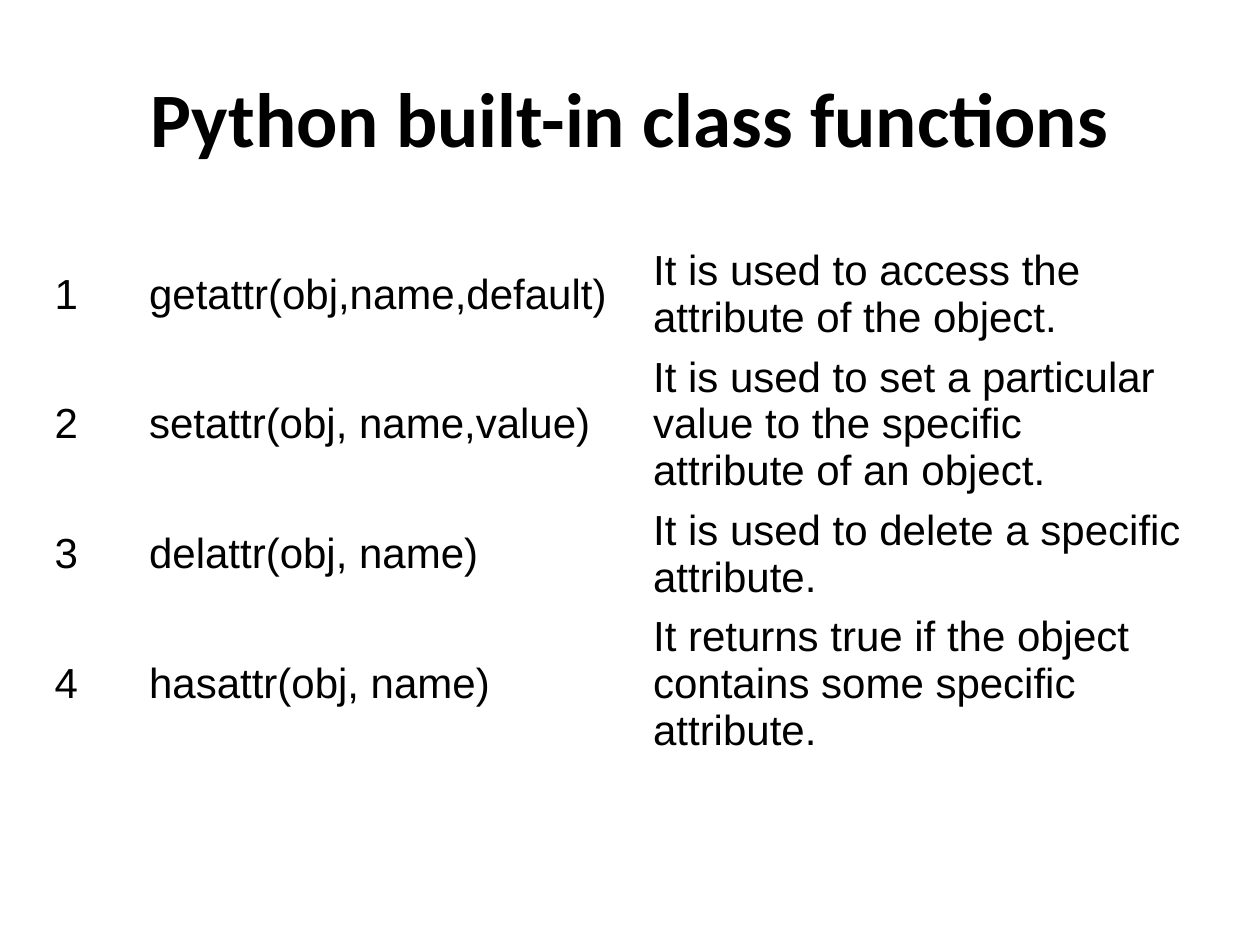
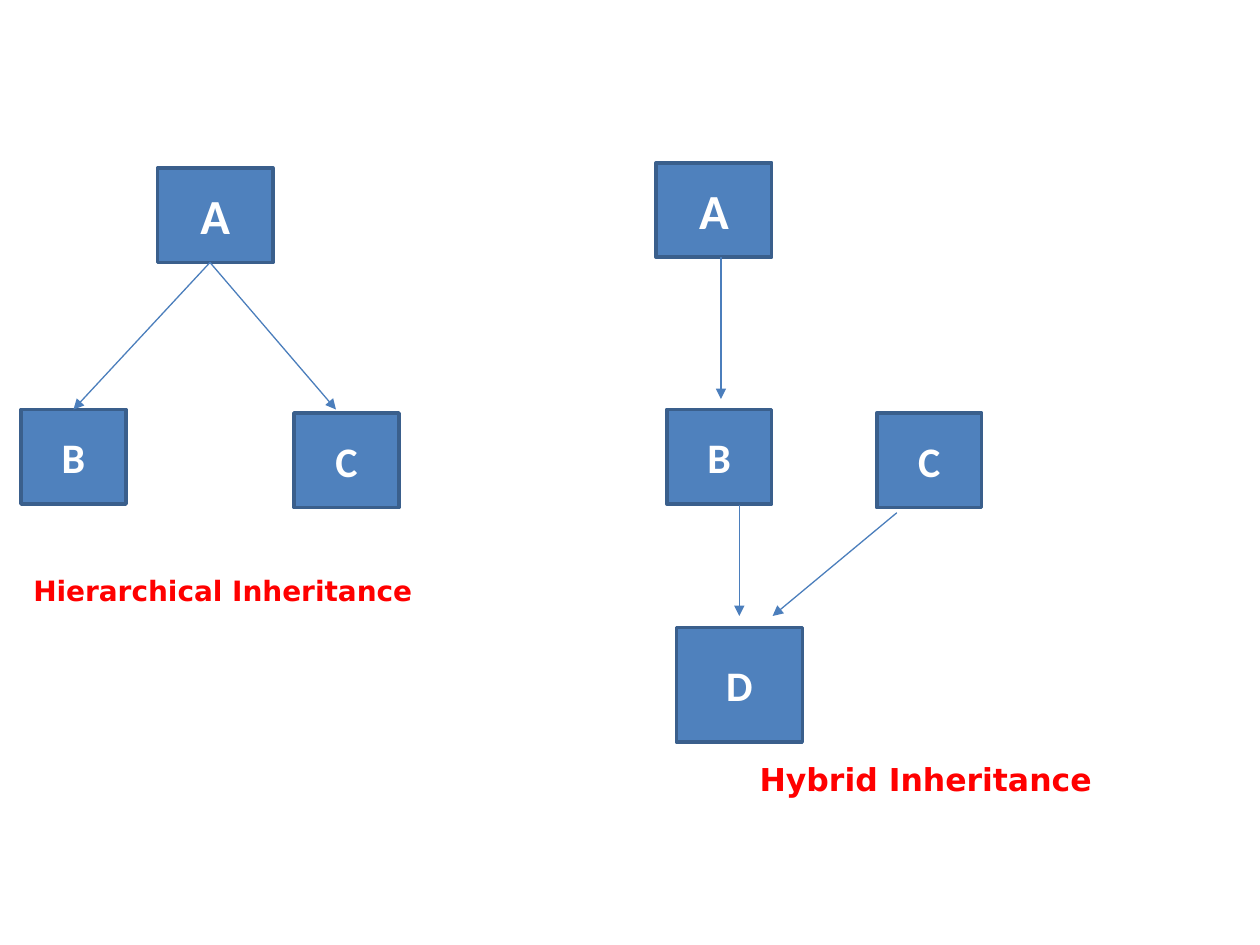
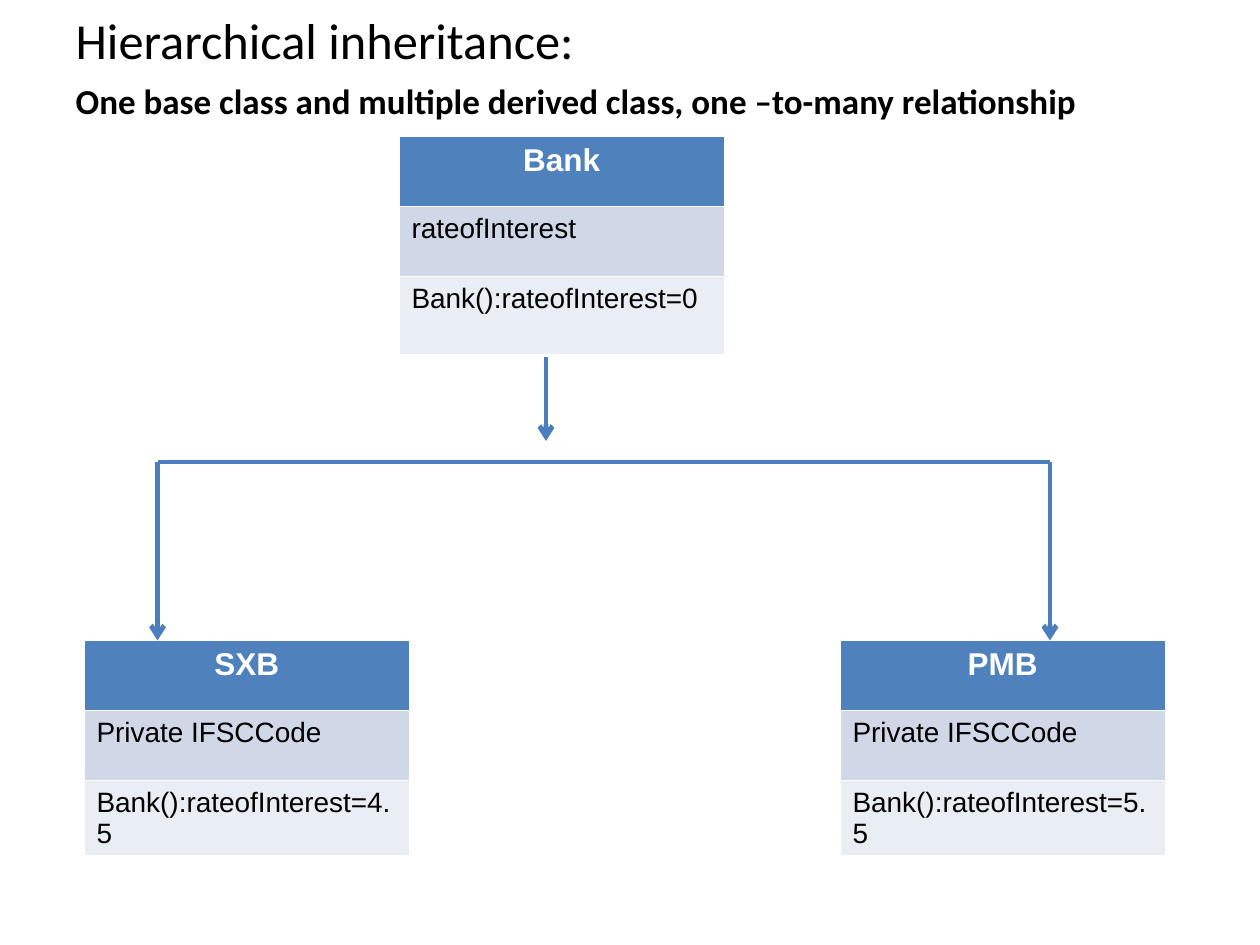
"""Build three slides on Python class functions and kinds of inheritance."""
import lxml.etree
import pptx
import pptx.dml.color
import pptx.enum.shapes
import pptx.enum.text
import pptx.oxml.ns
import pptx.util

Pt = pptx.util.Pt
RGBColor = pptx.dml.color.RGBColor
ALIGN = pptx.enum.text.PP_ALIGN
ANCHOR = pptx.enum.text.MSO_ANCHOR
NO_AUTOFIT = pptx.enum.text.MSO_AUTO_SIZE.NONE
TOP_SIDE = 0

BLACK = RGBColor(0, 0, 0)
WHITE = RGBColor(255, 255, 255)
RED = RGBColor(255, 0, 0)
BLUE = RGBColor(0x4F, 0x81, 0xBD)
BOX_EDGE = RGBColor(0x3A, 0x5F, 0x8C)
ARROW_BLUE = RGBColor(0x4B, 0x7E, 0xBC)
ROW_DARK = RGBColor(0xD0, 0xD8, 0xE8)
ROW_LIGHT = RGBColor(0xE9, 0xED, 0xF4)

TITLE = {"name": "Calibri", "size": Pt(44), "bold": True}
SMALL_TITLE = {"name": "Calibri", "size": Pt(28.8), "bold": False}
SUBTITLE = {"name": "Calibri", "size": Pt(20), "bold": True}
FUNCTION_CELL = {"name": "Arial", "size": Pt(24), "bold": False}
CLASS_NAME = {"name": "Arial", "size": Pt(18), "bold": True}
CLASS_MEMBER = {"name": "Arial", "size": Pt(16), "bold": False}

FUNCTIONS = [
    ("getattr(obj,name,default)", "It is used to access the attribute of the object.", 60),
    ("setattr(obj, name,value)",
     "It is used to set a particular value to the specific attribute of an object.", 85),
    ("delattr(obj, name)", "It is used to delete a specific attribute.", 60),
    ("hasattr(obj, name)", "It returns true if the object contains some specific attribute.", 85),
]


def set_attributes(target, values):
    """Set every attribute named in a dict of format values."""
    for name, value in values.items():
        setattr(target, name, value)


def write_text(text_frame, text, font_values, color, align=ALIGN.LEFT):
    """Write one formatted paragraph and return it."""
    paragraph = text_frame.paragraphs[0]
    paragraph.text = text
    paragraph.alignment = align
    set_attributes(paragraph.font, font_values)
    paragraph.font.color.rgb = color
    return paragraph


def place(shape, left, top, width, height):
    """Move and size a shape, in points."""
    set_attributes(shape, {"left": Pt(left), "top": Pt(top),
                           "width": Pt(width), "height": Pt(height)})


def fill_placeholder(shape, bounds, text, font_values, align, anchor):
    """Place a template placeholder and write its text."""
    place(shape, *bounds)
    set_attributes(shape.text_frame, {"word_wrap": True, "auto_size": NO_AUTOFIT,
                                      "vertical_anchor": anchor})
    return write_text(shape.text_frame, text, font_values, BLACK, align)


def remove_bullet(paragraph):
    """Take the bullet and indent off a paragraph."""
    properties = paragraph._p.get_or_add_pPr()
    properties.set("marL", "0")
    properties.set("indent", "0")
    lxml.etree.SubElement(properties, pptx.oxml.ns.qn("a:buNone"))


def add_class_box(slide, letter, left, top, width=60, height=54, size=24):
    """Add a blue rectangle that stands for a class."""
    shape = slide.shapes.add_shape(pptx.enum.shapes.MSO_SHAPE.RECTANGLE,
                                   Pt(left), Pt(top), Pt(width), Pt(height))
    shape.shadow.inherit = False
    shape.fill.solid()
    shape.fill.fore_color.rgb = BLUE
    shape.line.color.rgb = BOX_EDGE
    shape.line.width = Pt(2)
    shape.text_frame.vertical_anchor = ANCHOR.MIDDLE
    write_text(shape.text_frame, letter,
               {"name": "Calibri", "size": Pt(size), "bold": True}, WHITE, ALIGN.CENTER)
    return shape


def add_line(slide, start, end, width=0.75, head="triangle"):
    """Add a straight connector, with an arrowhead at its end if one is named."""
    connector = slide.shapes.add_connector(pptx.enum.shapes.MSO_CONNECTOR.STRAIGHT,
                                           *map(Pt, start + end))
    connector.line.color.rgb = ARROW_BLUE
    connector.line.width = Pt(width)
    if head:
        line = connector.line._get_or_add_ln()
        lxml.etree.SubElement(line, pptx.oxml.ns.qn("a:tailEnd"), type=head)
    lxml.etree.SubElement(connector._element.spPr, pptx.oxml.ns.qn("a:effectLst"))
    return connector


def add_caption(slide, text, left, top, width, size):
    """Add a red caption."""
    text_box = slide.shapes.add_textbox(Pt(left), Pt(top), Pt(width), Pt(48))
    text_box.text_frame.word_wrap = True
    write_text(text_box.text_frame, text,
               {"name": "DejaVu Sans", "size": Pt(size), "bold": True}, RED)


def add_sized_table(slide, left, top, widths, heights):
    """Add an unbanded table with the given column widths and row heights."""
    table = slide.shapes.add_table(len(heights), len(widths), Pt(left), Pt(top),
                                   Pt(sum(widths)), Pt(sum(heights))).table
    table.horz_banding = False
    for column, width in zip(table.columns, widths):
        column.width = Pt(width)
    for row, height in zip(table.rows, heights):
        row.height = Pt(height)
    return table


def add_class_table(slide, members, left, top, last_height=40):
    """Add a class diagram: a name above its field and constructor."""
    table = add_sized_table(slide, left, top, [186], [40, 40, last_height])
    styles = [(BLUE, CLASS_NAME, WHITE, ALIGN.CENTER),
              (ROW_DARK, CLASS_MEMBER, BLACK, ALIGN.LEFT),
              (ROW_LIGHT, CLASS_MEMBER, BLACK, ALIGN.LEFT)]
    for row, (text, (fill, font_values, color, align)) in enumerate(zip(members, styles)):
        cell = table.cell(row, 0)
        cell.fill.solid()
        cell.fill.fore_color.rgb = fill
        write_text(cell.text_frame, text, font_values, color, align)


def build_functions_slide(presentation):
    """Build the table of built-in class functions."""
    slide = presentation.slides.add_slide(presentation.slide_layouts[5])
    fill_placeholder(slide.shapes.title, (36, 21.6, 648, 90),
                     "Python built-in class functions", TITLE, ALIGN.CENTER, ANCHOR.MIDDLE)
    table = add_sized_table(slide, 24, 138, [54, 288, 318], [entry[2] for entry in FUNCTIONS])
    table.first_row = False
    for row, (function, purpose, _) in enumerate(FUNCTIONS):
        for column, text in enumerate((str(row + 1), function, purpose)):
            cell = table.cell(row, column)
            cell.fill.background()
            cell.vertical_anchor = ANCHOR.MIDDLE
            write_text(cell.text_frame, text, FUNCTION_CELL, BLACK)


def build_kinds_slide(presentation):
    """Build the diagrams of hierarchical and hybrid inheritance."""
    slide = presentation.slides.add_slide(presentation.slide_layouts[6])
    add_class_box(slide, "A", 90, 96, width=66, size=28)
    child_b = add_class_box(slide, "B", 12, 234)
    add_class_box(slide, "C", 168, 236)
    add_line(slide, (120, 150), (42, 234)).end_connect(child_b, TOP_SIDE)
    add_line(slide, (120, 150), (192, 234))
    add_caption(slide, "Hierarchical Inheritance", 12, 324, 252, 16)

    add_class_box(slide, "A", 375, 93, width=66, size=28)
    add_class_box(slide, "B", 381, 234)
    add_class_box(slide, "C", 501, 236)
    add_class_box(slide, "D", 386.5, 358.5, width=72, height=65.5)
    for start, end in [((412, 147), (412, 228)), ((422.5, 288.5), (422.5, 352)),
                       ((512.5, 293), (441.5, 352))]:
        add_line(slide, start, end)
    add_caption(slide, "Hybrid Inheritance", 427, 430.5, 216, 18)


def build_bank_slide(presentation):
    """Build the example of one base class and two derived classes."""
    slide = presentation.slides.add_slide(presentation.slide_layouts[1])
    fill_placeholder(slide.shapes.title, (36, 6.5, 648, 32.4),
                     "Hierarchical inheritance:", SMALL_TITLE, ALIGN.LEFT, ANCHOR.MIDDLE)
    paragraph = fill_placeholder(
        slide.placeholders[1], (36, 42, 684, 498),
        "One base class and multiple derived class, one –to-many relationship",
        SUBTITLE, ALIGN.LEFT, ANCHOR.TOP)
    paragraph.space_before = Pt(0)
    remove_bullet(paragraph)

    add_class_table(slide, ("Bank", "rateofInterest", "Bank():rateofInterest=0"), 228, 78, 45)
    add_line(slide, (312, 204), (312, 252), 2.75, "arrow")
    add_line(slide, (90, 264), (600, 264), 2.25, None)
    for name, rate, left, arrow_x in [("SXB", "4.5", 48, 90), ("PMB", "5.5", 480, 600)]:
        add_class_table(slide, (name, "Private IFSCCode", f"Bank():rateofInterest={rate}"),
                        left, 366)
        add_line(slide, (arrow_x, 264), (arrow_x, 366), 2.75, "arrow")


def main():
    """Build and save the presentation."""
    presentation = pptx.Presentation()
    presentation.slide_width = Pt(720)
    presentation.slide_height = Pt(540)
    build_functions_slide(presentation)
    build_kinds_slide(presentation)
    build_bank_slide(presentation)
    presentation.save("out.pptx")


if __name__ == "__main__":
    main()
